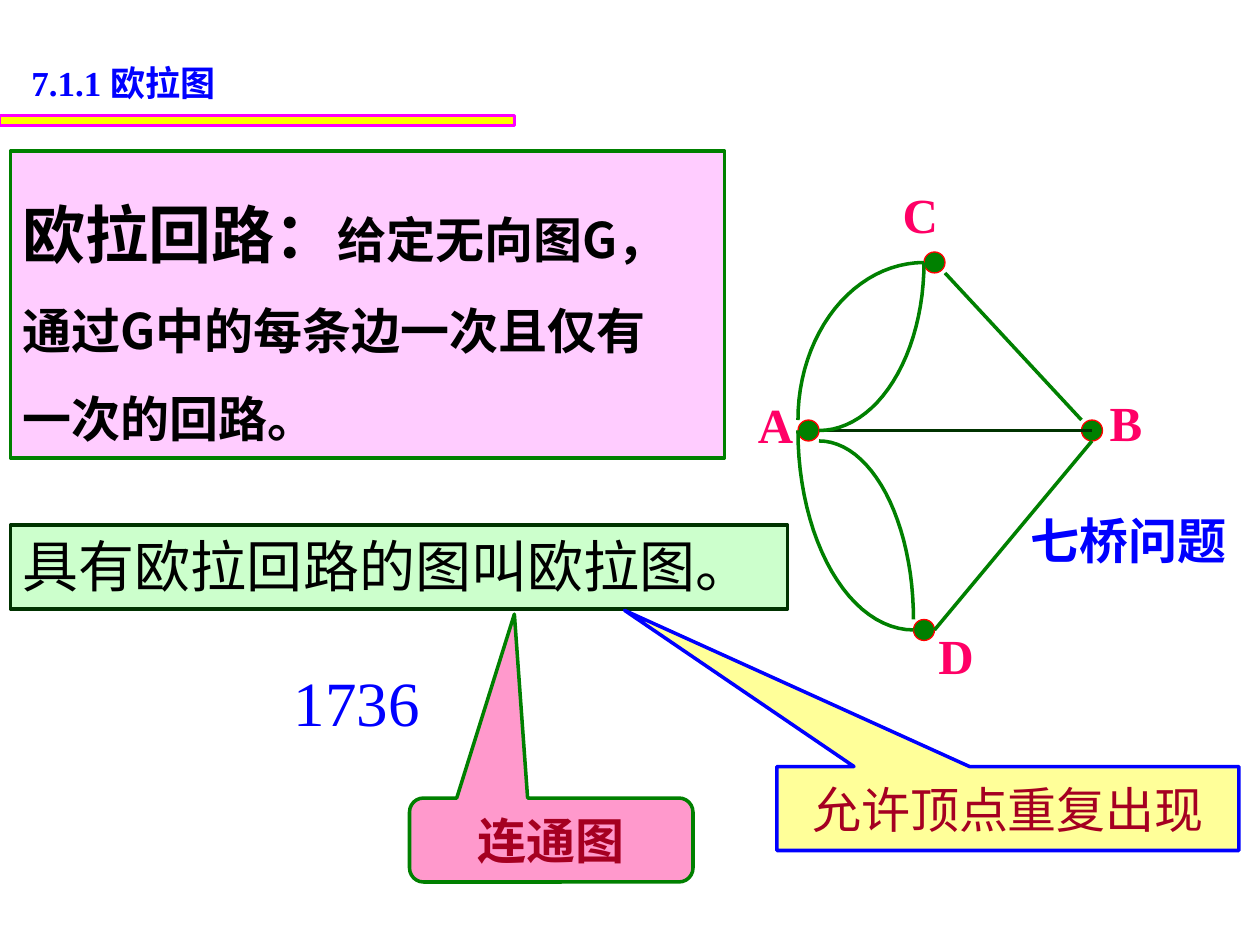
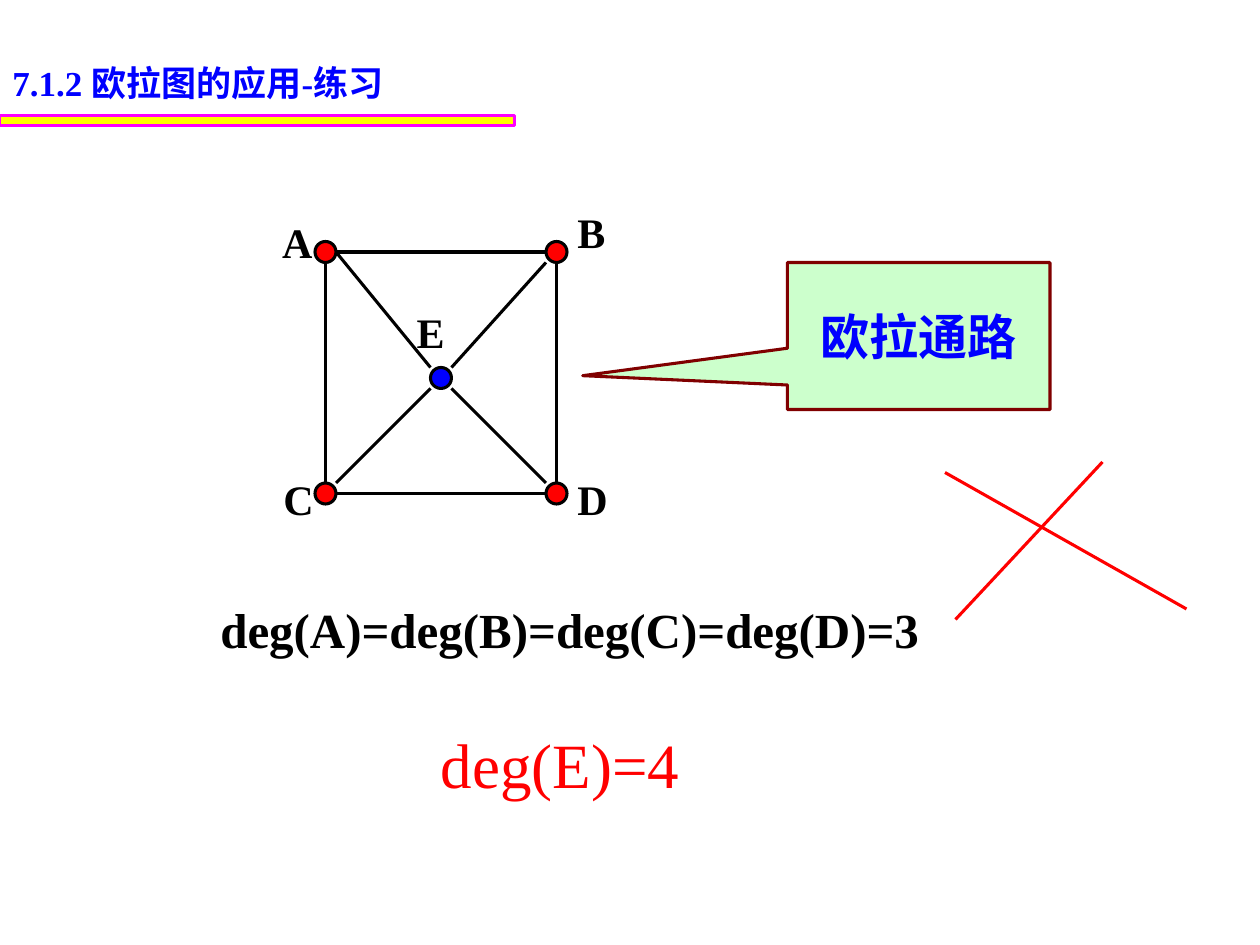
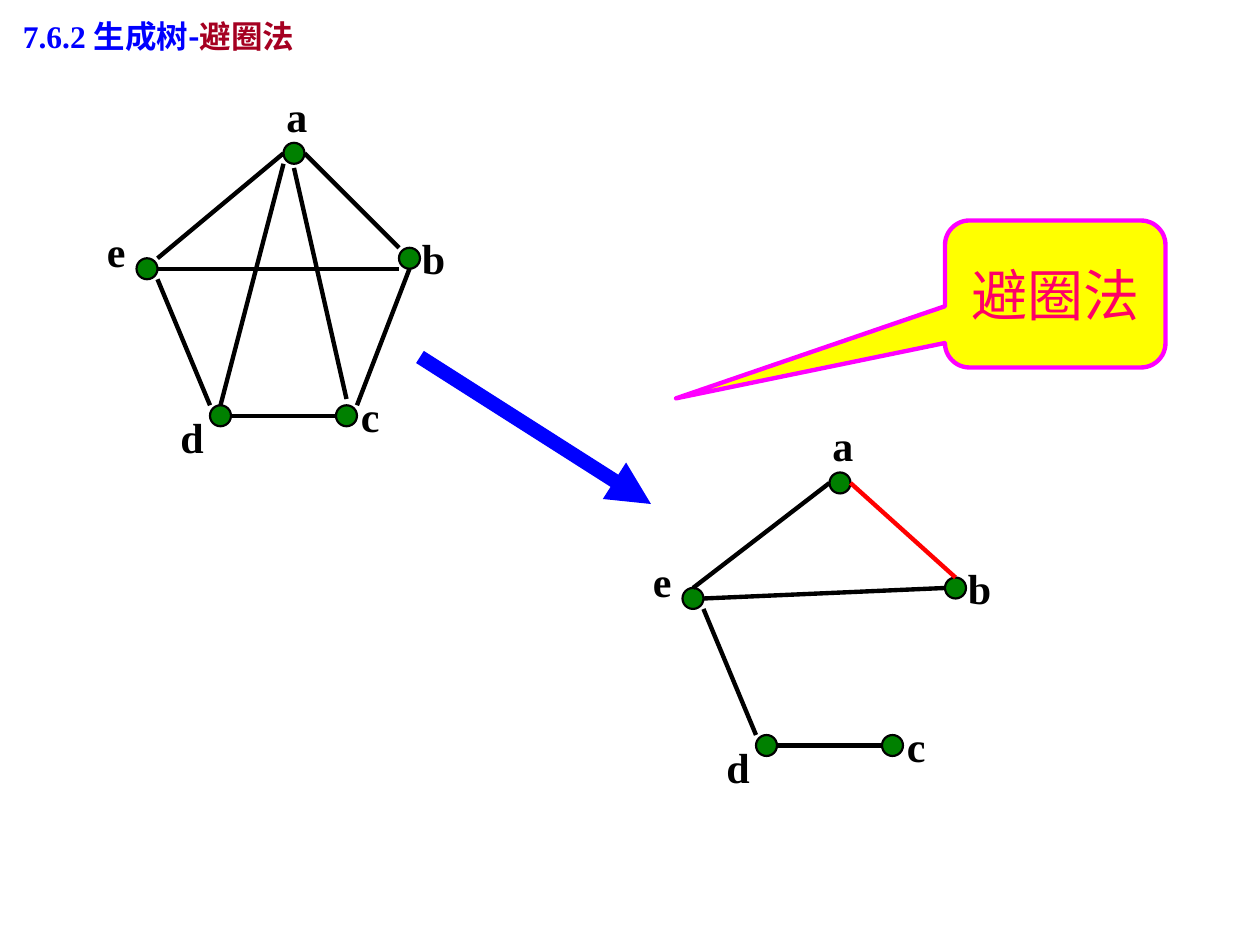
from math import cos, pi, sin

from pptx import Presentation
from pptx.dml.color import RGBColor
from pptx.enum.shapes import MSO_CONNECTOR, MSO_SHAPE
from pptx.enum.text import MSO_ANCHOR, PP_ALIGN
from pptx.oxml.ns import qn
from pptx.util import Inches, Pt

BLACK = RGBColor(0, 0, 0)
BLUE = RGBColor(0, 0, 255)
RED = RGBColor(255, 0, 0)
GREEN = RGBColor(0, 128, 0)
DARK = RGBColor(0, 51, 0)
YELLOW = RGBColor(255, 255, 0)
CREAM = RGBColor(255, 255, 153)
PINK = RGBColor(255, 204, 255)
ROSE = RGBColor(255, 153, 204)
MINT = RGBColor(204, 255, 204)
FUCHSIA = RGBColor(255, 0, 255)
CRIMSON = RGBColor(255, 0, 102)
MAROON = RGBColor(128, 0, 0)
WINE = RGBColor(165, 0, 33)

SERIF, SANS = "Times New Roman", "Arial"
HAN, KANJI = "Noto Sans CJK SC", "Noto Sans CJK JP"
RECT, OVAL = MSO_SHAPE.RECTANGLE, MSO_SHAPE.OVAL
WEDGE = MSO_SHAPE.RECTANGULAR_CALLOUT
ROUND = MSO_SHAPE.ROUNDED_RECTANGULAR_CALLOUT
STRAIGHT = MSO_CONNECTOR.STRAIGHT
LEFT, CENTER = PP_ALIGN.LEFT, PP_ALIGN.CENTER
TOP, MIDDLE = MSO_ANCHOR.TOP, MSO_ANCHOR.MIDDLE

COLS, ROWS = 120, 90
WIDTH, HEIGHT = Inches(10), Inches(7.5)
DOT = 2
STEPS = 24


def grid(*cells):
    return [round(cell * WIDTH / COLS) for cell in cells]


def run(text, size, color, bold=False, font=SERIF):
    return text, size, color, bold, font


def write(shape, lines, align=LEFT, anchor=TOP, space=None):
    frame = shape.text_frame
    frame.word_wrap = True
    frame.vertical_anchor = anchor
    for index, runs in enumerate(lines):
        para = frame.add_paragraph() if index else frame.paragraphs[0]
        para.alignment = align
        if space:
            para.line_spacing = space
        for text, size, color, bold, font in runs:
            part = para.add_run()
            part.text = text
            part.font.size = Pt(size)
            part.font.bold = bold
            part.font.color.rgb = color
            part.font.name = font
            east = part.font._element.makeelement(qn("a:ea"), {})
            east.set("typeface", KANJI if font == KANJI else HAN)
            part.font._element.find(qn("a:latin")).addnext(east)


def label(slide, area, *runs):
    write(slide.shapes.add_textbox(*grid(*area)), [runs])


def block(slide, kind, area, fill, edge, weight):
    shape = slide.shapes.add_shape(kind, *grid(*area))
    shape.shadow.inherit = False
    shape.fill.solid()
    shape.fill.fore_color.rgb = fill
    shape.line.color.rgb = edge
    shape.line.width = Pt(weight)
    return shape


def callout(slide, kind, area, tip, fill, edge, weight, text):
    shape = block(slide, kind, area, fill, edge, weight)
    shape.adjustments[0], shape.adjustments[1] = tip
    write(shape, [[text]], CENTER, MIDDLE)


def line(slide, ends, color, weight, arrow=False):
    link = slide.shapes.add_connector(STRAIGHT, *grid(*ends))
    link.line.color.rgb = color
    link.line.width = Pt(weight)
    props = link._element.spPr
    if arrow:
        stroke = props.find(qn("a:ln"))
        stroke.append(stroke.makeelement(qn("a:tailEnd"), {"type": "triangle"}))
    props.append(props.makeelement(qn("a:effectLst"), {}))


def curve(slide, ends, color, weight):
    left, top, right, low = ends
    turns = [pi / 2 * step / STEPS for step in range(STEPS + 1)]
    points = [grid(left + (right - left) * sin(turn),
                   top + (low - top) * (1 - cos(turn))) for turn in turns]
    pen = slide.shapes.build_freeform(*points[0])
    pen.add_line_segments(points[1:], close=False)
    shape = pen.convert_to_shape()
    shape.shadow.inherit = False
    shape.fill.background()
    shape.line.color.rgb = color
    shape.line.width = Pt(weight)


def graph(slide, nodes, edges, fill, rim, weight, size, ink, thick, shift=(0, 0)):
    over, down = shift
    for name, (col, row, right, below, *own) in nodes.items():
        left, top = col + over, row + down
        block(slide, OVAL, (left, top, DOT, DOT), own[0] if own else fill, rim, weight)
        label(slide, (left + right, top + below, 6, 6), run(name, size, ink, True))
    for start, high, end, low, *own in edges:
        ends = start + over, high + down, end + over, low + down
        line(slide, ends, own[0] if own else BLACK, thick)


def title(slide, left, top, *runs):
    label(slide, (left, top, 49, 5), *runs)


def band(slide):
    block(slide, RECT, (0, 11, 49, 1), YELLOW, FUCHSIA, 1.75)


def euler(slide):
    band(slide)
    title(slide, 1.8, 5.3, run("7.1.1 欧拉图", 20, BLUE, True))
    nodes = {"A": (76, 40, -5, -3), "B": (103, 40, 1.5, -3.2),
             "C": (88, 24, -3.2, -7), "D": (87, 59, 1.2, 0)}
    edges = [(103, 40, 90, 26, GREEN), (89, 60, 104, 42, GREEN),
             (78, 41, 104, 41, DARK)]
    graph(slide, nodes, edges, GREEN, RED, 0.75, 28, CRIMSON, 2)
    for ends in [(88, 25, 76, 40), (78, 42, 87, 59),
                 (78, 41, 88, 25), (87, 60, 76, 41)]:
        curve(slide, ends, GREEN, 2)
    label(slide, (97, 48, 23, 7), run("七桥问题", 28, BLUE, True, SANS))
    term = block(slide, RECT, (1, 14.4, 68, 29.2), PINK, GREEN, 2)
    write(term, [[run("欧拉回路：", 36, BLACK, True, HAN),
                  run("给定无向图G，", 28, BLACK, True, KANJI)],
                 [run("通过G中的每条边一次且仅有", 28, BLACK, True, KANJI)],
                 [run("一次的回路。", 28, BLACK, True, KANJI)]], space=1.5)
    rule = block(slide, RECT, (1, 50, 74, 8), MINT, DARK, 2)
    write(rule, [[run("具有欧拉回路的图叫欧拉图。", 32, BLACK, False, HAN)]])
    label(slide, (26.8, 62.6, 23, 8), run("1736", 36, BLUE))
    callout(slide, ROUND, (39, 76, 27, 8), (-0.13, -2.69), ROSE, GREEN, 2,
            run("连通图", 28, WINE, True, SANS))
    callout(slide, WEDGE, (74, 73, 44, 8), (-0.83, -2.36), CREAM, BLUE, 2,
            run("允许顶点重复出现", 28, WINE, False, SANS))


def drill(slide):
    band(slide)
    title(slide, 0, 5.3, run("7.1.2 欧拉图的应用-练习", 20, BLUE, True))
    nodes = {"A": (30, 23, -4.3, -3), "B": (52, 23, 1.8, -3.9),
             "C": (30, 46, -4.2, -1.5), "D": (52, 46, 1.8, -1.5),
             "E": (41, 35, -2.5, -6.4, BLUE)}
    edges = [(32, 24, 52, 24), (31, 25, 31, 46), (32, 47, 52, 47),
             (53, 25, 53, 46), (32, 24, 41, 35), (43, 37, 52, 46),
             (32, 46, 41, 37), (43, 35, 52, 25)]
    graph(slide, nodes, edges, RED, BLACK, 1.75, 24, BLACK, 1.75)
    callout(slide, WEDGE, (75, 25, 25, 14), (-1.28, 0.27), MINT, MAROON, 1.75,
            run("欧拉通路", 28, BLUE, True, SANS))
    label(slide, (19.8, 56.5, 88, 7),
          run("deg(A)=deg(B)=deg(C)=deg(D)=3", 28, BLACK, True))
    label(slide, (40.8, 68.5, 40, 8), run("deg(E)=4", 36, RED))
    for ends in [(90, 45, 113, 58), (91, 59, 105, 44)]:
        line(slide, ends, RED, 1.75)


def tree(slide):
    title(slide, 1, 1, run("7.6.2 ", 18, BLUE, True),
          run("生成树-", 18, BLUE, True, HAN), run("避圈法", 18, WINE, True, HAN))
    nodes = {"a": (79, 45, -0.9, -5.6), "b": (90, 55, 1, -2),
             "c": (84, 70, 1.2, -2), "d": (72, 70, -4, 0),
             "e": (65, 56, -4, -3.7)}
    both = [(67, 58, 72, 70), (74, 71, 84, 71)]
    full = both + [(67, 56, 79, 46), (86, 70, 91, 57), (81, 46, 90, 55),
                   (67, 57, 90, 57), (79, 47, 73, 70), (80, 47.4, 85, 69.4)]
    kept = both + [(79, 46, 66, 56), (67, 57, 90, 56), (81, 46, 91, 55, RED)]
    for edges, shift in [(full, (-52, -31.4)), (kept, (0, 0))]:
        graph(slide, nodes, edges, GREEN, BLACK, 1.25, 24, BLACK, 2.5, shift)
    line(slide, (40, 34, 62, 48), BLUE, 8.25, True)
    callout(slide, ROUND, (90, 21, 21, 14), (-1.72, 0.71), YELLOW, FUCHSIA, 2.5,
            run("避圈法", 32, CRIMSON, False, SANS))


def main():
    deck = Presentation()
    deck.slide_width, deck.slide_height = WIDTH, HEIGHT
    for draw in (euler, drill, tree):
        draw(deck.slides.add_slide(deck.slide_layouts[6]))
    deck.save("out.pptx")


if __name__ == "__main__":
    main()
